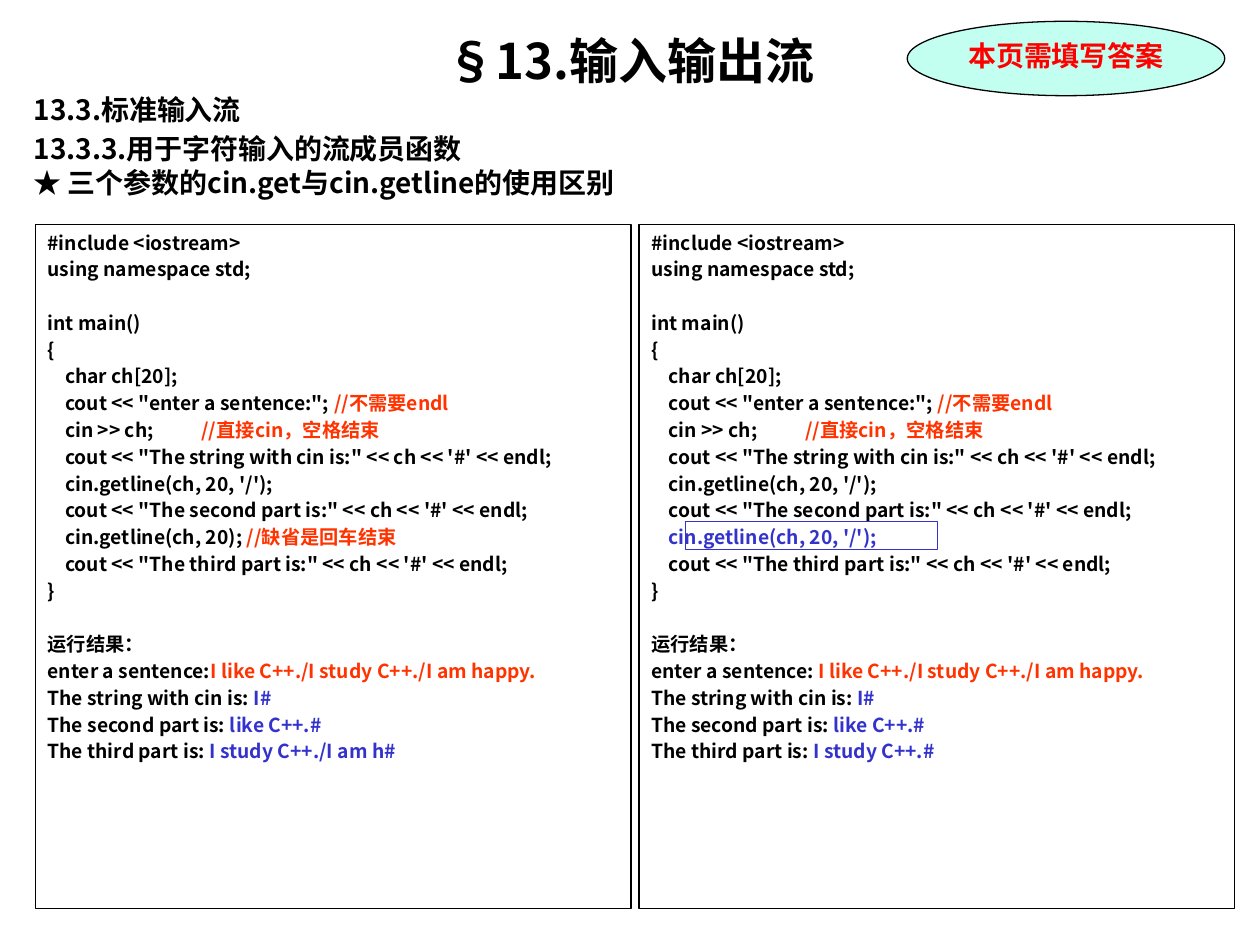
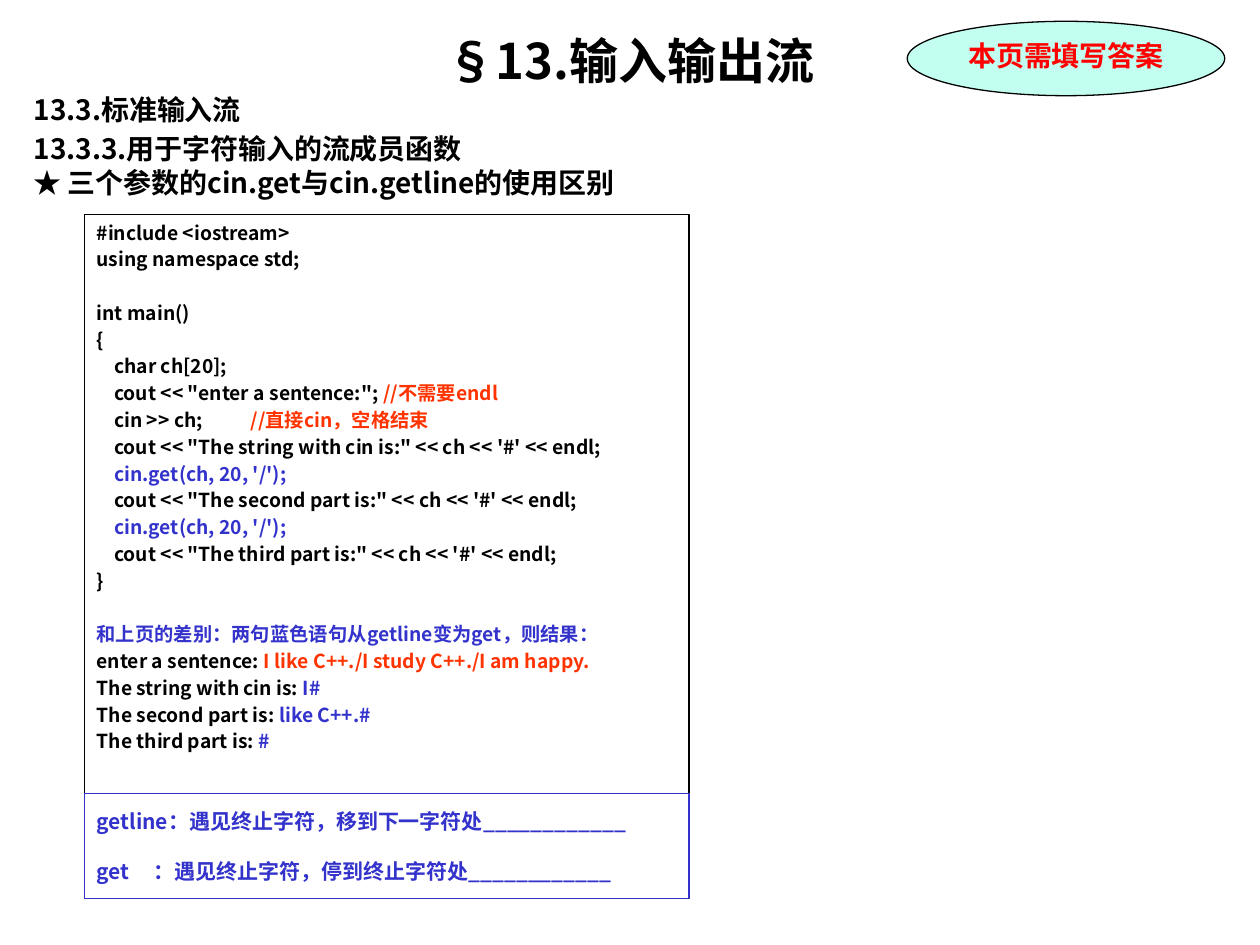
"""Two lecture slides comparing cin.get and cin.getline."""
import dataclasses
import typing

import lxml.etree
import pptx
import pptx.dml.color
import pptx.enum.shapes
import pptx.enum.text
import pptx.oxml.ns
import pptx.util

Cm = pptx.util.Cm
Pt = pptx.util.Pt
SHAPES = pptx.enum.shapes.MSO_SHAPE
ALIGN = pptx.enum.text.PP_ALIGN
ANCHOR = pptx.enum.text.MSO_ANCHOR

COLORS = {
    "black": "000000",
    "orange": "FF3300",
    "blue": "3333CC",
    "red": "FF0000",
    "mint": "C2FFF0",
}
FONT = "Noto Sans CJK SC"
BADGE_FONT = "Times New Roman"
LINE_HEIGHT = 1.21  # line pitch as a multiple of the font size
CODE_TABS = (10, 88)  # points: code indent, aligned comment


@dataclasses.dataclass
class Line:
    """One paragraph: a main part and an optional part in a second colour."""
    text: str
    note: str = ""
    color: str = "black"
    note_color: str = "orange"
    gap: bool = False  # leave one free line above


@dataclasses.dataclass
class Style:
    """Text format shared by the paragraphs of one box."""
    size: float
    before: float = 0
    font: str = FONT
    align: typing.Any = ALIGN.LEFT
    anchor: typing.Any = ANCHOR.TOP
    tabs: tuple = ()


@dataclasses.dataclass
class Frame:
    """Place of a box in centimetres."""
    left: float
    top: float
    width: float
    height: float

    def lengths(self) -> dict:
        """Return the place as shape attributes."""
        return {name: Cm(value) for name, value in vars_of(self).items()}


def vars_of(frame: Frame) -> dict:
    """Return the fields of a frame by name."""
    return dataclasses.asdict(frame)


TITLE_STYLE = Style(28, align=ALIGN.CENTER)
SECTION_STYLE = Style(16)
BADGE_STYLE = Style(16, font=BADGE_FONT, align=ALIGN.CENTER)
CODE_STYLE = Style(11, before=2, tabs=CODE_TABS)
SUMMARY_STYLE = Style(12, anchor=ANCHOR.MIDDLE, tabs=(32.5,))

TITLE_FRAME = Frame(0.43, 0.48, 24.56, 1.5)
SECTION_FRAME = Frame(0.43, 1.73, 24.56, 2.6)
BADGE_FRAME = Frame(18.29, 0.43, 6.4, 1.5)
LEFT_PANEL = Frame(0.71, 4.52, 12.01, 13.79)
RIGHT_PANEL = Frame(12.88, 4.52, 12.01, 13.79)
HIGHLIGHT = Frame(13.82, 10.52, 5.08, 0.56)
GET_PANEL = Frame(1.7, 4.32, 12.19, 13.79)
SUMMARY_FRAME = Frame(1.7, 16, 12.19, 2.11)


def set_values(target: typing.Any, values: dict) -> None:
    """Set each named attribute of an object."""
    for name, value in values.items():
        setattr(target, name, value)


def rgb(name: str) -> pptx.dml.color.RGBColor:
    """Return a palette colour."""
    return pptx.dml.color.RGBColor.from_string(COLORS[name])


def add_span(para: typing.Any, text: str, color: str, style: Style) -> None:
    """Add bold text in one colour to a paragraph."""
    span = para.add_run()
    span.text = text
    set_values(span.font, {"size": Pt(style.size), "bold": True, "name": style.font})
    span.font.color.rgb = rgb(color)
    east_asian = lxml.etree.SubElement(
        span.font._element, pptx.oxml.ns.qn("a:ea"))
    east_asian.set("typeface", FONT)


def add_tabs(para: typing.Any, stops: tuple) -> None:
    """Add left tab stops, given in points."""
    tab_list = lxml.etree.SubElement(
        para._p.get_or_add_pPr(), pptx.oxml.ns.qn("a:tabLst"))
    for stop in stops:
        tab = lxml.etree.SubElement(tab_list, pptx.oxml.ns.qn("a:tab"))
        tab.set("pos", str(int(Pt(stop))))
        tab.set("algn", "l")


def write(box: typing.Any, lines: list, style: Style) -> None:
    """Fill a box with lines in one style."""
    frame = box.text_frame
    set_values(frame, {
        "word_wrap": True,
        "auto_size": pptx.enum.text.MSO_AUTO_SIZE.NONE,
        "vertical_anchor": style.anchor,
        "margin_left": Cm(0.25), "margin_right": Cm(0.25),
        "margin_top": Cm(0.13), "margin_bottom": Cm(0.13),
    })
    pitch = style.size * LINE_HEIGHT
    for number, line in enumerate(lines):
        para = frame.add_paragraph() if number else frame.paragraphs[0]
        extra = pitch + style.before if line.gap else 0
        set_values(para, {
            "alignment": style.align,
            "line_spacing": Pt(pitch),
            "space_before": Pt(style.before + extra),
        })
        if style.tabs:
            add_tabs(para, style.tabs)
        add_span(para, line.text, line.color, style)
        if line.note:
            add_span(para, line.note, line.note_color, style)


def add_box(page: typing.Any, kind: typing.Any, frame: Frame,
            line: str = "black", fill: str = "") -> typing.Any:
    """Add an outlined shape, unfilled unless a fill is named."""
    box = page.shapes.add_shape(kind, *frame.lengths().values())
    box.shadow.inherit = False
    box.line.color.rgb = rgb(line)
    box.line.width = Pt(0.75)
    if fill:
        box.fill.solid()
        box.fill.fore_color.rgb = rgb(fill)
    else:
        box.fill.background()
    return box


def add_panel(page: typing.Any, frame: Frame, lines: list) -> None:
    """Add a framed code listing with its output."""
    write(add_box(page, SHAPES.RECTANGLE, frame), lines, CODE_STYLE)


def add_page(deck: typing.Any) -> typing.Any:
    """Add a slide with the shared title, section lines and badge."""
    page = deck.slides.add_slide(deck.slide_layouts[5])
    title = page.shapes.title
    set_values(title, TITLE_FRAME.lengths())
    write(title, [Line("§13.输入输出流")], TITLE_STYLE)
    section = page.shapes.add_textbox(*SECTION_FRAME.lengths().values())
    write(section, [
        Line("13.3.标准输入流"),
        Line("13.3.3.用于字符输入的流成员函数"),
        Line("★ 三个参数的cin.get与cin.getline的使用区别"),
    ], SECTION_STYLE)
    section.text_frame.paragraphs[1].space_before = Pt(3.2)
    badge = add_box(page, SHAPES.OVAL, BADGE_FRAME, fill="mint")
    write(badge, [Line("本页需填写答案", color="red")], BADGE_STYLE)
    return page


def program(second_read: Line, third_read: Line) -> list:
    """Return the listing around its two varying read statements."""
    return [
        Line("#include <iostream>"),
        Line("using namespace std;"),
        Line("int main()", gap=True),
        Line("{"),
        Line("\tchar ch[20];"),
        Line("\tcout << \"enter a sentence:\"; ", "//不需要endl"),
        Line("\tcin >> ch;\t", "//直接cin，空格结束"),
        Line("\tcout << \"The string with cin is:\" << ch << '#' << endl;"),
        second_read,
        Line("\tcout << \"The second part is:\" << ch << '#' << endl;"),
        third_read,
        Line("\tcout << \"The third part is:\" << ch << '#' << endl;"),
        Line("}"),
    ]


def output(heading: Line, third_part: str,
           prompt: str = "enter a sentence: ") -> list:
    """Return the output lines that follow a listing."""
    return [
        heading,
        Line(prompt, "I like C++./I study C++./I am happy."),
        Line("The string with cin is: ", "I#", note_color="blue"),
        Line("The second part is: ", "like C++.#", note_color="blue"),
        Line("The third part is: ", third_part, note_color="blue"),
    ]


def add_getline_page(deck: typing.Any) -> None:
    """Add the slide with two getline programs side by side."""
    page = add_page(deck)
    getline = "\tcin.getline(ch, 20, '/');"
    heading = Line("运行结果：", gap=True)
    default_end = Line("\tcin.getline(ch, 20); ", "//缺省是回车结束")
    add_panel(page, LEFT_PANEL, program(Line(getline), default_end)
              + output(heading, "I study C++./I am h#", "enter a sentence:"))
    add_panel(page, RIGHT_PANEL,
              program(Line(getline), Line(getline, color="blue"))
              + output(heading, "I study C++.#"))
    add_box(page, SHAPES.RECTANGLE, HIGHLIGHT, line="blue")


def add_get_page(deck: typing.Any) -> None:
    """Add the slide with the get program and the summary."""
    page = add_page(deck)
    get = Line("\tcin.get(ch, 20, '/');", color="blue")
    heading = Line("和上页的差别：两句蓝色语句从getline变为get，则结果：",
                   color="blue", gap=True)
    add_panel(page, GET_PANEL, program(get, get) + output(heading, "#"))
    summary = add_box(page, SHAPES.RECTANGLE, SUMMARY_FRAME, line="blue")
    blank = "_" * 12
    write(summary, [
        Line("getline：遇见终止字符，移到下一字符处" + blank, color="blue"),
        Line("get\t：遇见终止字符，停到终止字符处" + blank, color="blue", gap=True),
    ], SUMMARY_STYLE)


def main() -> None:
    """Build and save the deck."""
    deck = pptx.Presentation()
    set_values(deck, {"slide_width": Cm(25.4), "slide_height": Cm(19.05)})
    add_getline_page(deck)
    add_get_page(deck)
    deck.save("out.pptx")


main()
